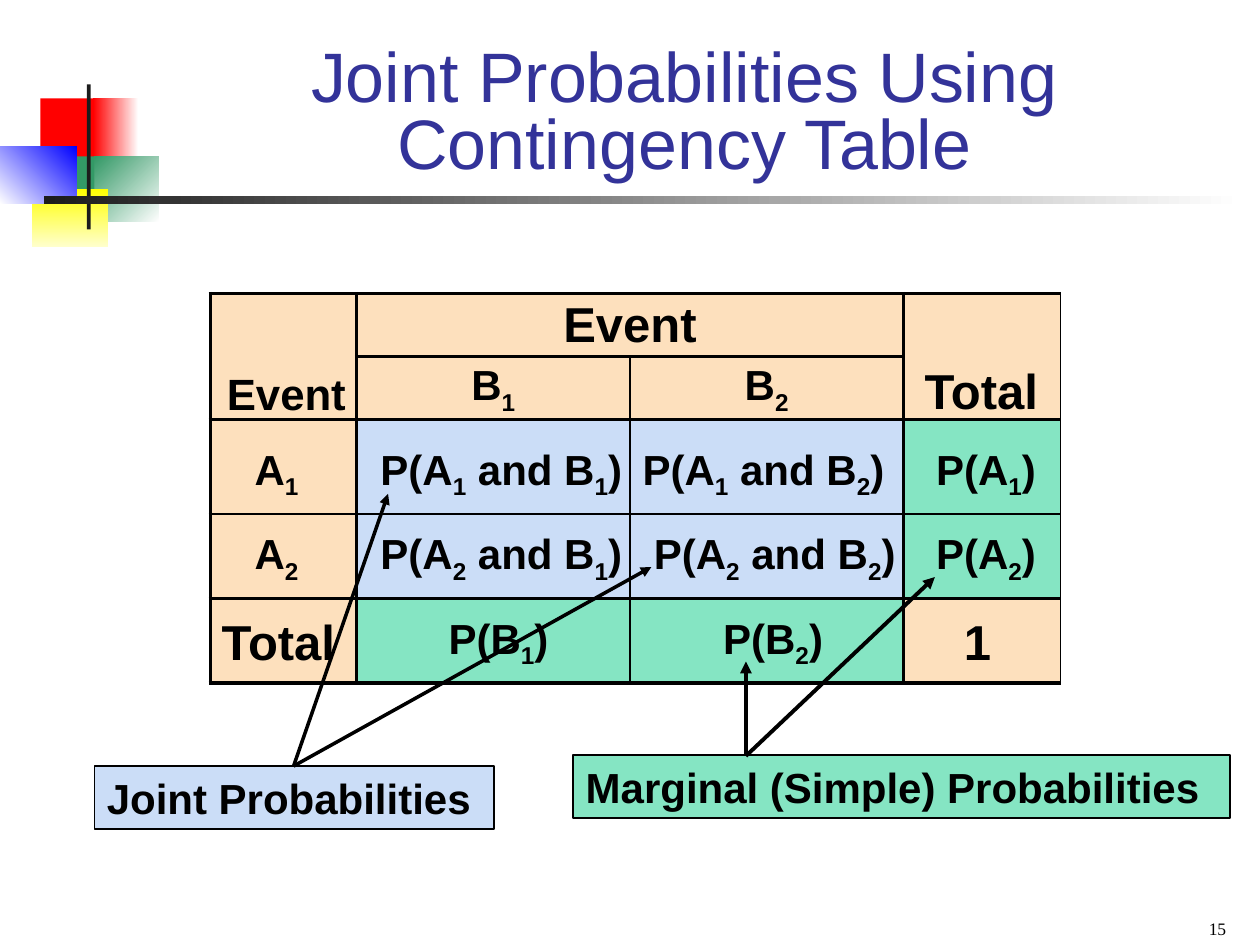
from itertools import pairwise
from lxml import etree
from pptx import Presentation
from pptx.dml.color import RGBColor
from pptx.enum import shapes, text
from pptx.oxml import parse_xml
from pptx.oxml.ns import nsdecls, qn
from pptx.util import Inches, Pt

COLORS = {"black": "000000", "white": "FFFFFF", "title": "333399", "peach": "FDE0BD",
          "mint": "85E5C3", "sky": "CBDDF7", "red": "FF0000", "green": "339966",
          "yellow": "FFFF00", "cream": "FFFFCC", "blue": "0000FF", "ink": "1C1C1C"}

TITLE = "Joint Probabilities Using Contingency Table"
PAGE = "15"

# left, top, width, height, colour stops, clockwise angle
ORNAMENTS = [
    (0.32, 0.78, 0.48, 0.52, ["red"], 0),
    (0.74, 0.78, 0.36, 0.52, ["white", "red"], 180),
    (0.75, 1.24, 0.51, 0.52, ["white", "green"], 225),
    (0.43, 1.24, 0.32, 0.52, ["green"], 0),
    (0.25, 1.5, 0.61, 0.46, ["yellow", "cream"], 90),
    (0, 1.16, 0.61, 0.46, ["blue", "white"], 135),
    (0.69, 0.67, 0.03, 1.15, ["ink"], 0),
    (0.35, 1.56, 9.51, 0.06, ["white", "ink"], 180),
]

COLS = [1.67, 2.83, 5, 7.17, 8.42]
ROWS = [2.33, 2.83, 3.33, 4.08, 4.75, 5.42]
COL_LINES = [2.25, 2.25, 1.5, 2.25, 0.75]
ROW_LINES = [2.25, 1.5, 2.25, 1.5, 2.25, 2.25]
TOP_INSETS = [0.04, 0.05, 0.22, 0.14, 0.14]

# row, column, rows spanned, columns spanned, text, size, left inset (None centres), fill
CELLS = [
    (0, 0, 2, 1, "Event", 25, 0.13, "peach"),
    (0, 1, 1, 2, "Event", 28, None, "peach"),
    (0, 3, 2, 1, "Total", 28, 0.17, "peach"),
    (1, 1, 1, 1, "B_1", 24, None, "peach"),
    (1, 2, 1, 1, "B_2", 24, None, "peach"),
    (2, 0, 1, 1, "A_1", 24, 0.35, "peach"),
    (2, 1, 1, 1, "P(A_1 and B_1)", 24, 0.19, "sky"),
    (2, 2, 1, 1, "P(A_1 and B_2)", 24, 0.1, "sky"),
    (2, 3, 1, 1, "P(A_1)", 24, 0.26, "mint"),
    (3, 0, 1, 1, "A_2", 24, 0.35, "peach"),
    (3, 1, 1, 1, "P(A_2 and B_1)", 24, 0.19, "sky"),
    (3, 2, 1, 1, "P(A_2 and B_2)", 24, 0.19, "sky"),
    (3, 3, 1, 1, "P(A_2)", 24, 0.26, "mint"),
    (4, 0, 1, 1, "Total", 28, 0.09, "peach"),
    (4, 1, 1, 1, "P(B_1)", 24, 0.73, "mint"),
    (4, 2, 1, 1, "P(B_2)", 24, 0.74, "mint"),
    (4, 3, 1, 1, "1", 28, 0.48, "peach"),
]

CALLOUTS = [
    (0.75, 6.08, 3.17, 0.5, "Joint Probabilities", "sky"),
    (4.55, 5.99, 5.21, 0.5, "Marginal (Simple) Probabilities", "mint"),
]

ARROWS = [
    ((2.33, 6.08), (3.08, 3.92), 2),
    ((2.33, 6.08), (5.17, 4.5), 2),
    ((5.92, 6), (5.92, 5.25), 2.25),
    ((5.92, 6), (7.42, 4.58), 2.25),
]


def rgb(name):
    return RGBColor.from_string(COLORS[name])


def style(r, size, color="black", bold=True, font="Arial"):
    r.font.name, r.font.size, r.font.bold = font, Pt(size), bold
    r.font.color.rgb = rgb(color)


def write(p, content, size):
    first, *rest = content.split("_")
    pieces = [(first, False)]
    for part in rest:
        pieces += [(part[0], True), (part[1:], False)]
    for piece, lowered in pieces:
        if piece:
            r = p.add_run()
            r.text = piece
            style(r, size)
            if lowered:
                r.font._element.set("baseline", "-25000")


def add_box(s, left, top, width, height, stops, angle=0):
    sp = s.shapes.add_shape(shapes.MSO_SHAPE.RECTANGLE, *map(Inches, (left, top, width, height)))
    sp.shadow.inherit = False
    sp.line.fill.background()
    if len(stops) == 1:
        sp.fill.solid()
        sp.fill.fore_color.rgb = rgb(stops[0])
    else:
        sp.fill.gradient()
        sp.fill.gradient_angle = (360 - angle) % 360
        for stop, name in zip(sp.fill.gradient_stops, stops):
            stop.color.rgb = rgb(name)
    return sp


def add_border(cell, side, width):
    cell._tc.get_or_add_tcPr().append(parse_xml(
        f'<a:ln{side} {nsdecls("a")} w="{Pt(width)}"><a:solidFill>'
        f'<a:srgbClr val="{COLORS["black"]}"/></a:solidFill></a:ln{side}>'))


def add_probability_table(s):
    table = s.shapes.add_table(len(ROWS) - 1, len(COLS) - 1, Inches(COLS[0]), Inches(ROWS[0]),
                               Inches(COLS[-1] - COLS[0]), Inches(ROWS[-1] - ROWS[0])).table
    table.first_row = table.horz_banding = False
    for col, (a, b) in zip(table.columns, pairwise(COLS)):
        col.width = Inches(b - a)
    for row, (a, b) in zip(table.rows, pairwise(ROWS)):
        row.height = Inches(b - a)
    for r0, c0, high, wide, content, size, inset, fill in CELLS:
        r1, c1 = r0 + high, c0 + wide
        for r in range(r0, r1):
            for c in range(c0, c1):
                cell = table.cell(r, c)
                edges = [("L", c == c0, COL_LINES[c]), ("R", c + 1 == c1, COL_LINES[c + 1]),
                         ("T", r == r0, ROW_LINES[r]), ("B", r + 1 == r1, ROW_LINES[r + 1])]
                for side, outer, width in edges:
                    if outer:
                        add_border(cell, side, width)
                cell.fill.solid()
                cell.fill.fore_color.rgb = rgb(fill)
                cell.margin_left = Inches(inset or 0)
                cell.margin_right = cell.margin_top = cell.margin_bottom = 0
        cell = table.cell(r0, c0)
        if high > 1:
            cell.vertical_anchor = text.MSO_ANCHOR.BOTTOM
        else:
            cell.vertical_anchor = text.MSO_ANCHOR.TOP
            cell.margin_top = Inches(TOP_INSETS[r0])
        if high * wide > 1:
            cell.merge(table.cell(r1 - 1, c1 - 1))
        p = cell.text_frame.paragraphs[0]
        p.alignment = text.PP_ALIGN.CENTER if inset is None else text.PP_ALIGN.LEFT
        write(p, content, size)


def add_arrow(s, start, end, width):
    line = s.shapes.add_connector(shapes.MSO_CONNECTOR.STRAIGHT, *map(Inches, start + end))
    line.line.color.rgb = rgb("black")
    line.line.width = Pt(width)
    etree.SubElement(line.line._get_or_add_ln(), qn("a:tailEnd"), type="triangle")
    etree.SubElement(line._element.spPr, qn("a:effectLst"))


def main():
    prs = Presentation()
    prs.slide_width, prs.slide_height = Inches(10), Inches(7.5)
    s = prs.slides.add_slide(prs.slide_layouts[5])
    for ornament in ORNAMENTS:
        add_box(s, *ornament)

    title = s.shapes.title
    title.left, title.top, title.width, title.height = map(Inches, (1.17, 0.42, 8.52, 1.08))
    tf = title.text_frame
    tf.text = TITLE
    tf.vertical_anchor = text.MSO_ANCHOR.BOTTOM
    tf.auto_size = text.MSO_AUTO_SIZE.NONE
    p = tf.paragraphs[0]
    p.alignment, p.line_spacing = text.PP_ALIGN.CENTER, 0.8
    style(p.runs[0], 40, "title", False)

    add_probability_table(s)
    for left, top, width, height, label, fill in CALLOUTS:
        sp = add_box(s, left, top, width, height, [fill])
        sp.line.color.rgb = rgb("black")
        sp.line.width = Pt(1)
        p = sp.text_frame.paragraphs[0]
        p.alignment = text.PP_ALIGN.LEFT
        write(p, label, 24)
    for arrow in ARROWS:
        add_arrow(s, *arrow)

    tf = s.shapes.add_textbox(*map(Inches, (7.5, 7.15, 2.33, 0.35))).text_frame
    tf.word_wrap = True
    tf.vertical_anchor = text.MSO_ANCHOR.BOTTOM
    tf.text = PAGE
    tf.paragraphs[0].alignment = text.PP_ALIGN.RIGHT
    style(tf.paragraphs[0].runs[0], 10, bold=False, font="Times New Roman")
    prs.save("out.pptx")


if __name__ == "__main__":
    main()
